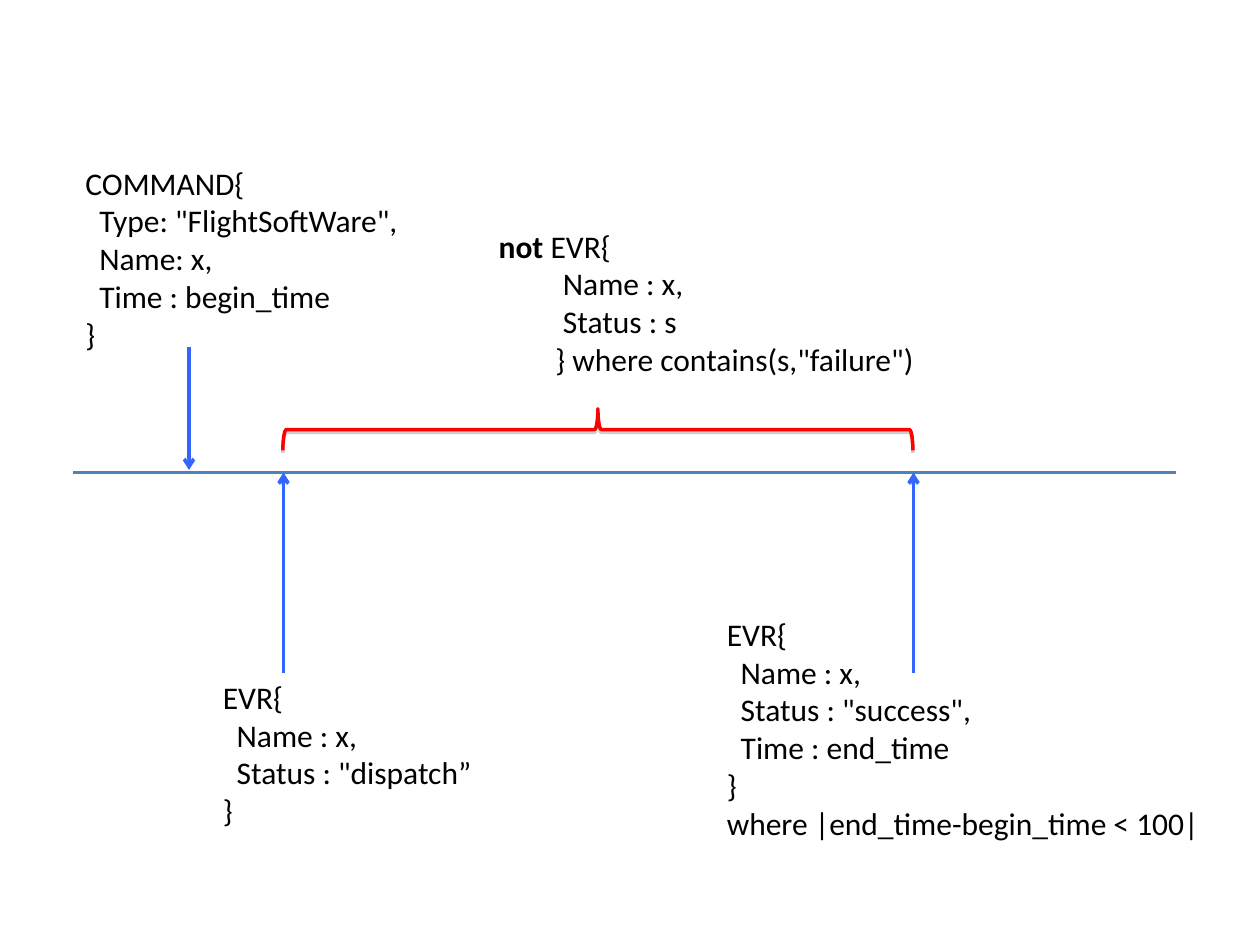
from dataclasses import dataclass

from lxml import etree
from pptx import Presentation
from pptx import util as u
from pptx.dml.color import RGBColor
from pptx.enum import shapes, text
from pptx.oxml import parse_xml
from pptx.oxml.ns import nsdecls, qn

PX = u.Inches(1) // 100  # 100 px to the inch


@dataclass(frozen=True)
class Theme:
    font: str = "Calibri"
    text_size: int = 18
    line_width: int = 2
    ink: str = "000000"
    timeline: str = "4F81BD"
    event: str = "3366FF"
    interval: str = "FF0000"
    shadow: str = "808080"


class Diagram:
    def __init__(self, slide, theme):
        self.slide = slide
        self.theme = theme

    def style_line(self, line, color):
        line.color.rgb = RGBColor.from_string(color)
        line.width = u.Pt(self.theme.line_width)

    def line(self, start, end, color, arrow=False):
        connector = self.slide.shapes.add_connector(
            shapes.MSO_CONNECTOR.STRAIGHT, *(v * PX for v in (*start, *end)))
        self.style_line(connector.line, color)
        properties = connector._element.spPr
        if arrow:
            outline = properties.find(qn("a:ln"))
            etree.SubElement(outline, qn("a:tailEnd"), type="arrow")
        etree.SubElement(properties, qn("a:effectLst"))

    def code(self, left, top, width, height, lines, wrap=True):
        """Each line is (indent in px, text, optional bold lead word)."""
        box = self.slide.shapes.add_textbox(
            *(v * PX for v in (left, top, width, height)))
        frame = box.text_frame
        frame.word_wrap = wrap
        frame.auto_size = text.MSO_AUTO_SIZE.SHAPE_TO_FIT_TEXT
        for index, (indent, wording, *lead) in enumerate(lines):
            para = frame.add_paragraph() if index else frame.paragraphs[0]
            para._p.get_or_add_pPr().set("marL", str(indent * PX))
            para.font.name = self.theme.font
            para.font.size = u.Pt(self.theme.text_size)
            para.font.color.rgb = RGBColor.from_string(self.theme.ink)
            for word in lead:
                span = para.add_run()
                span.text = word
                span.font.bold = True
            para.add_run().text = wording

    def brace_above(self, left, top, width, height):
        """A left brace turned to lie over a horizontal span."""
        shift = (width - height) // 2
        brace = self.slide.shapes.add_shape(
            shapes.MSO_SHAPE.LEFT_BRACE,
            *(v * PX for v in (left + shift, top - shift, height, width)))
        brace.rotation = 90
        brace.fill.background()
        self.style_line(brace.line, self.theme.interval)
        brace._element.spPr.append(parse_xml(
            f'<a:effectLst {nsdecls("a")}>'
            f'<a:outerShdw dist="{u.Pt(1.6)}" dir="5400000" rotWithShape="0">'
            f'<a:srgbClr val="{self.theme.shadow}"><a:alpha val="38000"/></a:srgbClr>'
            '</a:outerShdw></a:effectLst>'))


def main():
    deck = Presentation()
    deck.slide_width, deck.slide_height = 1000 * PX, 750 * PX
    theme = Theme()
    diagram = Diagram(deck.slides.add_slide(deck.slide_layouts[6]), theme)

    timeline_y = 375
    command_x, dispatch_x, success_x = 150, 225, 725
    field = 11  # indent of the fields inside a pattern

    diagram.line((58, timeline_y), (933, timeline_y), theme.timeline)

    diagram.code(58, 125, 500, 160, [
        (0, "COMMAND{"),
        (field, 'Type: "FlightSoftWare",'),
        (field, "Name: x,"),
        (field, "Time : begin_time"),
        (0, "}"),
    ])
    diagram.code(167, 533, 219, 130, [
        (0, "EVR{"),
        (field, "Name : x,"),
        (field, 'Status : "dispatch”'),
        (0, "}"),
    ], wrap=False)
    diagram.code(567, 483, 408, 190, [
        (0, "EVR{"),
        (field, "Name : x,"),
        (field, 'Status : "success",'),
        (field, "Time : end_time"),
        (0, "}"),
        (0, "where |end_time-begin_time < 100|"),
    ])
    diagram.code(386, 175, 500, 130, [
        (0, "EVR{", "not "),
        (51, "Name : x,"),
        (51, "Status : s"),
        (45, '} where contains(s,"failure")'),
    ])

    for x in (dispatch_x, success_x):
        diagram.line((x, 534), (x, timeline_y), theme.event, arrow=True)
    diagram.line((command_x, 275), (command_x, 373), theme.event, arrow=True)
    diagram.brace_above(dispatch_x, 324, success_x - dispatch_x, 33)

    deck.save("out.pptx")


if __name__ == "__main__":
    main()
